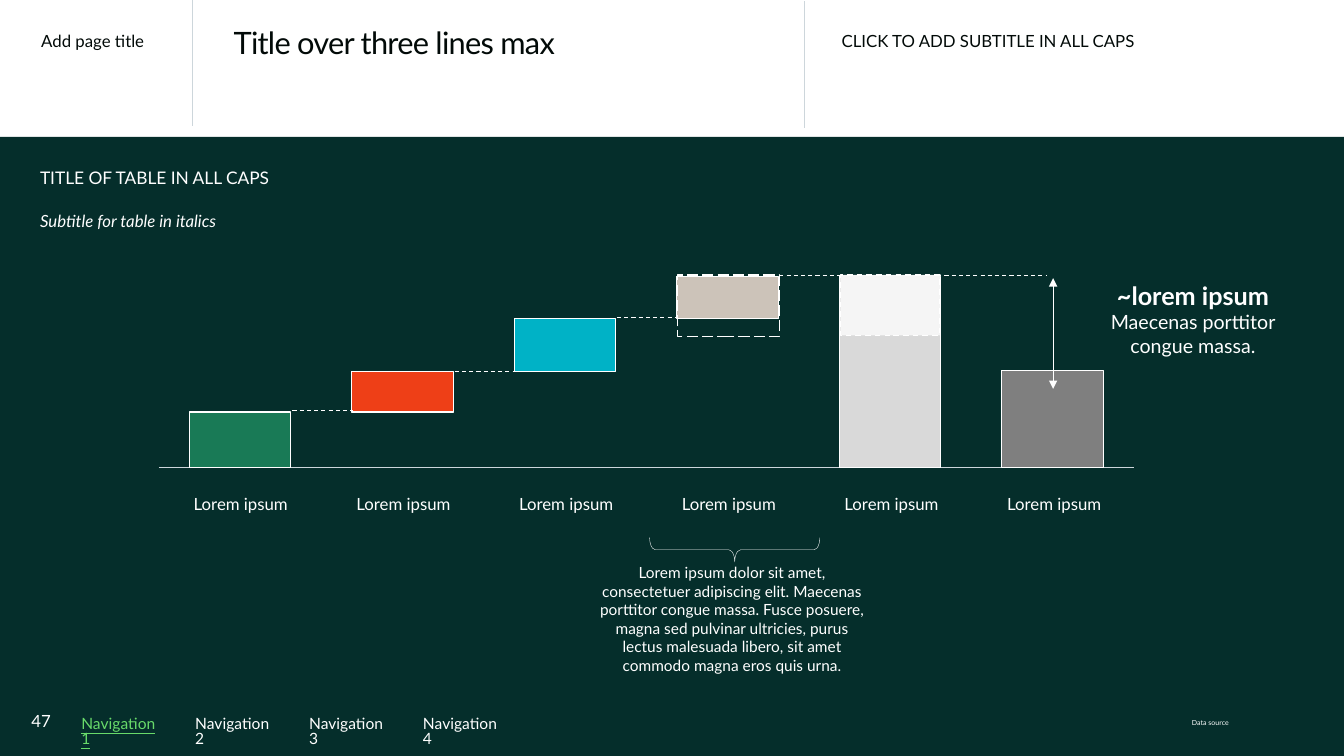
from lxml import etree
from pptx import Presentation
from pptx import util as u
from pptx.chart import data
from pptx.dml.color import RGBColor
from pptx.enum import chart as charts, dml, shapes, text
from pptx.oxml import ns

WHITE, INK, RULE = "FFFFFF", "020A08", "CDD6DB"
LEFT, CENTER, RIGHT = text.PP_ALIGN.LEFT, text.PP_ALIGN.CENTER, text.PP_ALIGN.RIGHT
DASH, LONG_DASH = dml.MSO_LINE.DASH, dml.MSO_LINE.LONG_DASH
color = RGBColor.from_string

presentation = Presentation()
presentation.slide_width, presentation.slide_height = u.Cm(33.87), u.Cm(19.05)
slide = presentation.slides.add_slide(presentation.slide_layouts[6])


def add_text(box, lines, size, fill=WHITE, spacing=1.0, align=LEFT, inset=True):
    shape = slide.shapes.add_textbox(*map(u.Cm, box))
    frame = shape.text_frame
    frame.word_wrap = True
    if not inset:
        frame.margin_left = frame.margin_right = frame.margin_top = frame.margin_bottom = 0
    frame.text = lines
    for paragraph in frame.paragraphs:
        paragraph.alignment = align
        paragraph.line_spacing = spacing
        paragraph.font.name = "Lato"
        paragraph.font.size = u.Pt(size)
        paragraph.font.color.rgb = color(fill)
    return frame


def add_line(x1, y1, x2, y2, stroke=WHITE, width=0.75, dash=None):
    line = slide.shapes.add_connector(shapes.MSO_CONNECTOR.STRAIGHT, *map(u.Cm, (x1, y1, x2, y2)))
    line.line.color.rgb = color(stroke)
    line.line.width = u.Pt(width)
    line.line.dash_style = dash
    etree.SubElement(line._element.spPr, ns.qn("a:effectLst"))
    return line


background = slide.shapes.add_shape(shapes.MSO_SHAPE.RECTANGLE, 0, u.Cm(3.45), u.Cm(33.87), u.Cm(15.6))
background.shadow.inherit = False
background.fill.solid()
background.fill.fore_color.rgb = color("052E2B")
background.line.fill.background()
add_line(4.85, 0, 4.85, 3.18, RULE, 1)
add_line(20.27, 0.03, 20.27, 3.23, RULE, 1)

chart_data = data.CategoryChartData()
chart_data.categories = ["1", "2", "3", "4", "5", "6"]
chart_data.add_series("Series 1", (29, 29, 50, 78, 100, 51))
chart_data.add_series("Series 2", (None, 21, 28, 22, None, None))
chart = slide.shapes.add_chart(
    charts.XL_CHART_TYPE.COLUMN_STACKED, u.Cm(3.78), u.Cm(6.81), u.Cm(25.02), u.Cm(5.13), chart_data
).chart
chart.has_legend = chart.has_title = False
chart.font.name, chart.font.size = "Lato", u.Pt(10)
chart.font.color.rgb = color(INK)
category_axis, value_axis = chart.category_axis, chart.value_axis
category_axis.tick_label_position = charts.XL_TICK_LABEL_POSITION.NONE
category_axis.major_tick_mark = charts.XL_TICK_MARK.NONE
category_axis.format.line.color.rgb = color(RULE)
value_axis.minimum_scale, value_axis.maximum_scale = 0, 100
value_axis.has_major_gridlines = False
value_axis.visible = False
plot = chart.plots[0]
plot.gap_width, plot.overlap, plot.vary_by_categories = 60, 100, False
point_fills = (
    {0: "197A56", 4: "D9D9D9", 5: "7F7F7F"},
    {1: "EE3F17", 2: "00B2C6", 3: "CCC3B9"},
)
for series, fills in zip(plot.series, point_fills):
    series.format.fill.background()
    series.format.line.fill.background()
    for index, fill in fills.items():
        point = series.points[index].format
        point.fill.solid()
        point.fill.fore_color.rgb = color(fill)
        point.line.color.rgb = color(WHITE)
        point.line.width = u.Pt(0.75)

plot_area = chart._chartSpace.chart.plotArea
for old_layout in plot_area.findall(ns.qn("c:layout")):
    plot_area.remove(old_layout)
layout = etree.Element(ns.qn("c:layout"))
manual = etree.SubElement(layout, ns.qn("c:manualLayout"))
settings = (("layoutTarget", "inner"), ("xMode", "edge"), ("yMode", "edge"),
            ("x", "0.009"), ("y", "0.031"), ("w", "0.982"), ("h", "0.938"))
for tag, value in settings:
    etree.SubElement(manual, ns.qn("c:" + tag)).set("val", value)
plot_area.insert(0, layout)

add_text((0.79, 0.71, 3.99, 0.46), "Add page title", 12, INK, 0.9)
number = add_text((0.79, 17.65, 0.99, 1.02), "47", 12, inset=False)
number.vertical_anchor = text.MSO_ANCHOR.MIDDLE
title = add_text((5.64, 0.61, 13.79, 2.57), "Title over three lines max", 22, INK, 0.85)
title.paragraphs[0].runs[0]._r.get_or_add_rPr().set("spc", "-50")
add_text((20.96, 0.71, 12.19, 2.44), "CLICK TO ADD SUBTITLE IN ALL CAPS", 12, INK, 0.9)
add_text((0.76, 4.24, 12.19, 0.66), "TITLE OF TABLE IN ALL CAPS", 12.4, spacing=0.7)
subtitle = add_text((0.76, 5.28, 12.19, 0.66), "Subtitle for table in italics", 12, spacing=0.8)
subtitle.paragraphs[0].font.italic = True

for index in range(4):
    active = index == 0
    navigation = add_text((1.8 + 2.87 * index, 17.96, 2.69, 0.66), f"Navigation {index + 1}", 11.1,
                          "68DA6A" if active else WHITE, 0.8)
    navigation.margin_right = u.Cm(0.4)
    navigation.paragraphs[0].font.underline = active
add_text((14.53, 18.03, 16.69, 0.43), "Data source", 5, spacing=0.7, align=RIGHT)

add_text((14.78, 14.07, 7.34, 2.62),
         "Lorem ipsum dolor sit amet, consectetuer adipiscing elit. Maecenas porttitor congue massa. "
         "Fusce posuere, magna sed pulvinar ultricies, purus lectus malesuada libero, sit amet "
         "commodo magna eros quis urna.", 11, align=CENTER)
for index in range(6):
    add_text((4.47 + 4.1 * index, 12.5, 3.2, 0.91), "Lorem ipsum", 12, spacing=0.9, align=CENTER, inset=False)
callout = add_text((27.03, 6.93, 6.07, 2.26), "~lorem ipsum\nMaecenas porttitor congue massa.", 14, align=CENTER)
callout.paragraphs[0].font.size = u.Pt(18)
callout.paragraphs[0].font.bold = True

arrow = add_line(26.54, 7.01, 26.54, 9.8, width=0.5)
for end in ("a:headEnd", "a:tailEnd"):
    etree.SubElement(arrow.line._get_or_add_ln(), ns.qn(end)).set("type", "triangle")
add_line(23.8, 6.93, 26.39, 6.93, dash=DASH)
for index, level in enumerate((10.34, 9.35, 8, 6.93)):
    start = 7.37 + 4.09 * index
    add_line(start, level, start + 1.52, level, dash=DASH)

outlines = (
    (shapes.MSO_SHAPE.RECTANGLE, (21.18, 6.93, 2.51, 1.52), "F5F5F5", 1, DASH),
    (shapes.MSO_SHAPE.RECTANGLE, (17.07, 6.93, 2.57, 1.55), None, 1, LONG_DASH),
    (shapes.MSO_SHAPE.RIGHT_BRACE, (18.21, 11.71, 0.61, 4.29), None, 0.25, None),
)
for kind, box, fill, width, dash in outlines:
    shape = slide.shapes.add_shape(kind, *map(u.Cm, box))
    shape.shadow.inherit = False
    if fill:
        shape.fill.solid()
        shape.fill.fore_color.rgb = color(fill)
    else:
        shape.fill.background()
    shape.line.color.rgb = color(WHITE)
    shape.line.width = u.Pt(width)
    shape.line.dash_style = dash
    if kind == shapes.MSO_SHAPE.RIGHT_BRACE:
        shape.rotation = 90
        shape.adjustments[0] = 0.24

presentation.save("out.pptx")
